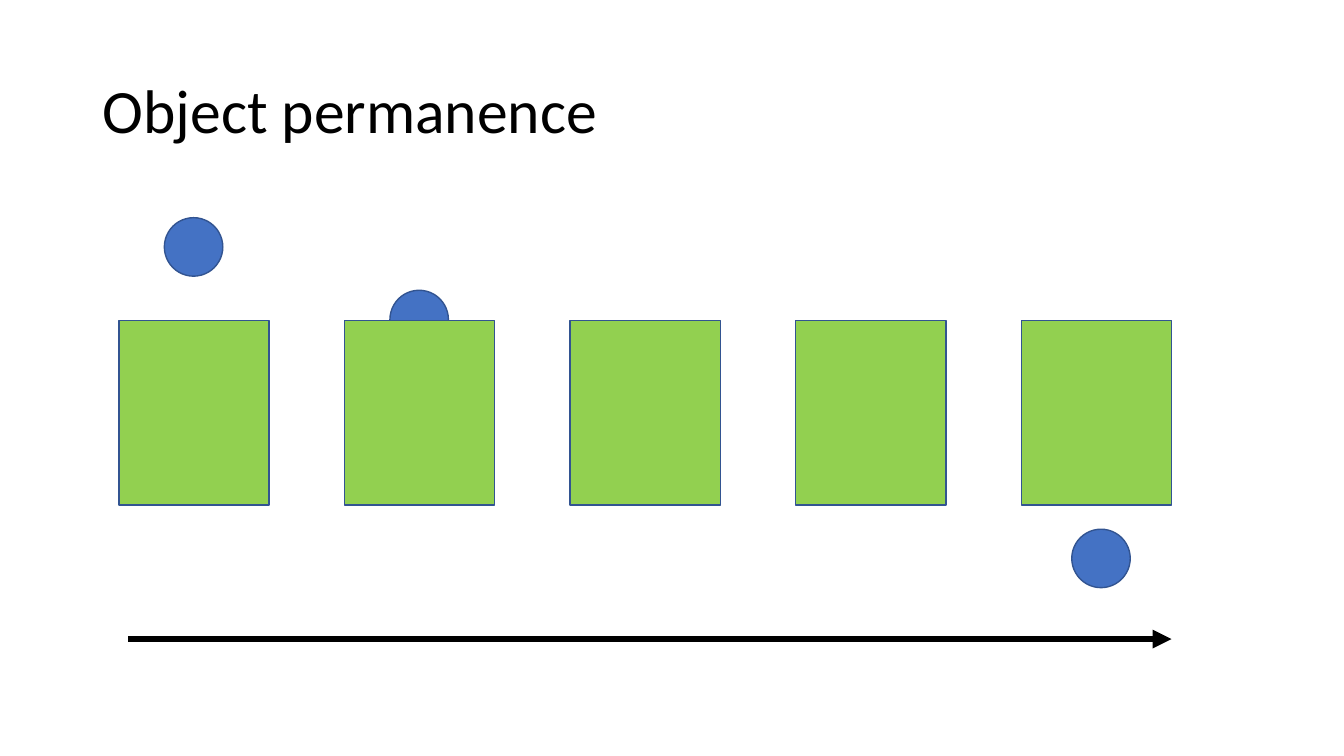
from lxml.etree import SubElement
from pptx import Presentation
from pptx.dml.color import RGBColor as RGB
from pptx.enum.shapes import MSO_CONNECTOR as LINK, MSO_SHAPE as SHAPE
from pptx.enum.text import MSO_ANCHOR as ANCHOR
from pptx.oxml.ns import qn
from pptx.util import Inches, Pt

TITLE = "Object permanence"
# One entry per moment in time: ball (shift from screen's left, top) or None
STEPS = [(0.45, 2.16), (0.45, 2.88), None, None, (0.5, 5.25)]

THEME = {
    "font": "Calibri", "size": Pt(44), "ink": RGB.from_string("000000"),
    "ball": RGB.from_string("4472C4"), "screen": RGB.from_string("92D050"),
    "edge": RGB.from_string("325491"), "thin": Pt(1), "thick": Pt(4.5),
}

TITLE_BOX = (0.92, 0.4, 11.5, 1.45)
LEFT, TOP, WIDE, HIGH = 1.18, 3.18, 1.49, 1.83
PITCH = 2.2375
BALL = 0.58
ARROW = (1.27, 6.34, 11.62, 6.34)


def inches(box):
    """Turn a row of numbers into lengths."""
    return [Inches(num) for num in box]


def style(item, form):
    """Set each attribute named in a dict of format values."""
    for name, value in form.items():
        setattr(item, name, value)


def add_title(slide):
    """Write the heading, centred upright in its box."""
    frame = slide.shapes.add_textbox(*inches(TITLE_BOX)).text_frame
    style(frame, {"word_wrap": True, "vertical_anchor": ANCHOR.MIDDLE})
    para = frame.paragraphs[0]
    style(para, {"text": TITLE, "line_spacing": 0.9})
    style(para.font, {"name": THEME["font"], "size": THEME["size"]})
    para.font.color.rgb = THEME["ink"]


def add_part(slide, kind, box, fill):
    """Draw a filled, thinly edged shape."""
    part = slide.shapes.add_shape(kind, *inches(box))
    part.shadow.inherit = False
    part.fill.solid()
    part.fill.fore_color.rgb = THEME[fill]
    part.line.color.rgb = THEME["edge"]
    part.line.width = THEME["thin"]


def add_arrow(slide):
    """Draw the time arrow below the screens."""
    arrow = slide.shapes.add_connector(LINK.STRAIGHT, *inches(ARROW))
    arrow.line.color.rgb = THEME["ink"]
    arrow.line.width = THEME["thick"]
    SubElement(arrow.line._get_or_add_ln(), qn("a:tailEnd"), type="triangle")
    SubElement(arrow._element.spPr, qn("a:effectLst"))


def main():
    """Build the slide and save it."""
    deck = Presentation()
    style(deck, {"slide_width": Inches(13.33), "slide_height": Inches(7.5)})
    slide = deck.slides.add_slide(deck.slide_layouts[6])
    add_title(slide)
    for step, ball in enumerate(STEPS):
        left = LEFT + step * PITCH
        if ball:
            shift, top = ball
            add_part(slide, SHAPE.OVAL, (left + shift, top, BALL, BALL), "ball")
        add_part(slide, SHAPE.RECTANGLE, (left, TOP, WIDE, HIGH), "screen")
    add_arrow(slide)
    deck.save("out.pptx")


main()
